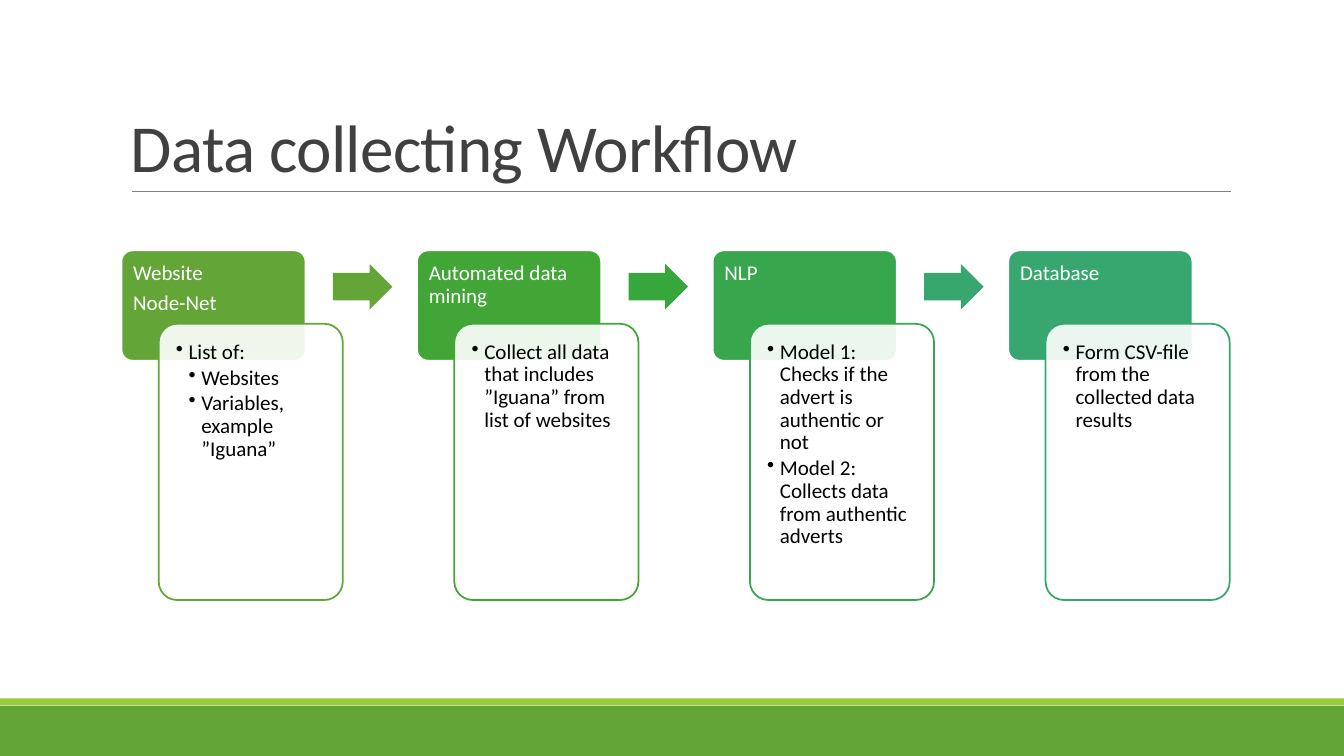
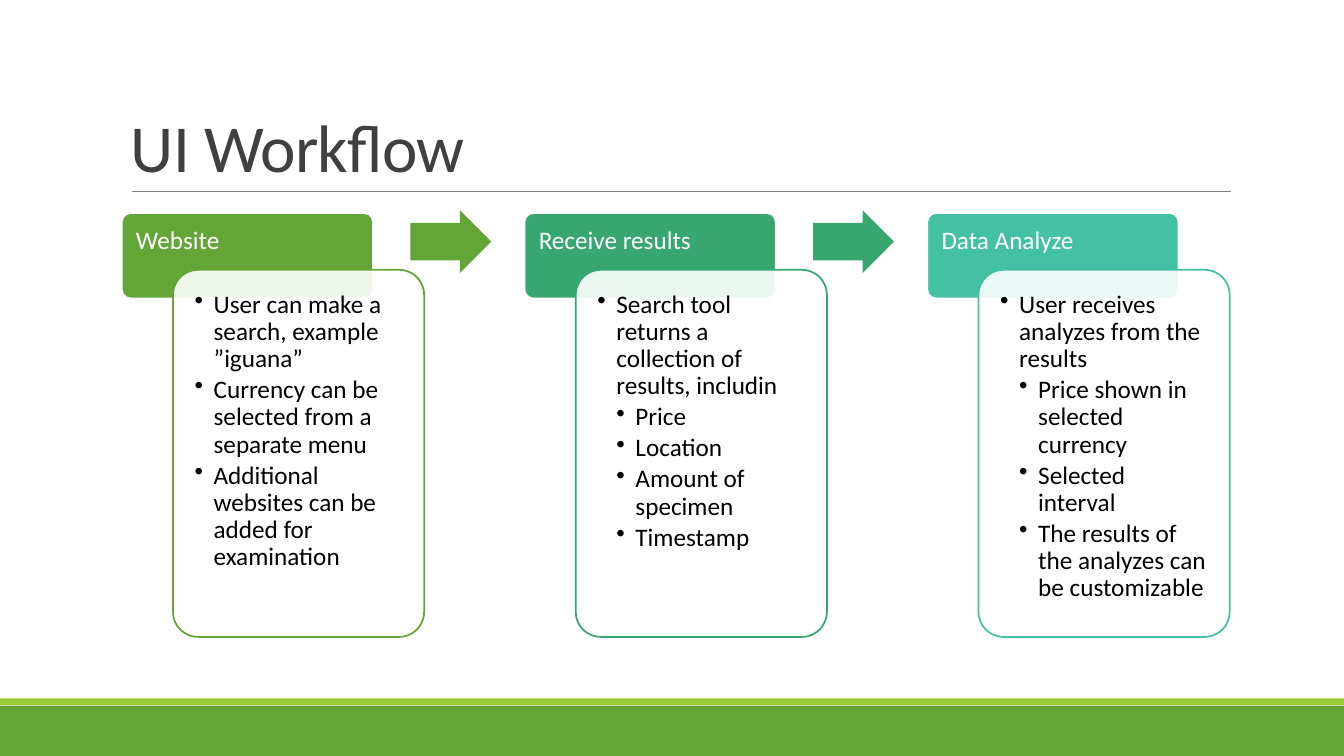
from pptx import Presentation
from pptx import util as u
from pptx.dml.color import RGBColor
from pptx.enum import shapes, text
from lxml import etree

COLORS = {
    "band": "63A537", "stripe": "99CB38", "rule": "808080", "title": "404040",
    "white": "FFFFFF", "black": "000000", "leaf": "63A537", "grass": "42A637",
    "green": "37A63D", "fern": "37A64D", "sea": "37A76F", "mint": "44C1A3",
}
FONT = "Calibri"
NAMESPACE = "http://schemas.openxmlformats.org/drawingml/2006/main"

WORKFLOWS = [
    {
        "title": "Data collecting Workflow",
        "size": 15, "inset": 0.3, "hanging": 0.32,
        "left": 3.06, "top": 6.31, "step": 7.45,
        "head": (4.64, 2.78), "card": (0.94, 1.85, 4.64, 6.96),
        "arrow": (5.33, 0.34, 1.5, 1.15), "arrows": ["leaf", "green", "sea"],
        "steps": [
            ("leaf", ["Website ", "Node-Net"],
             [(1, "List of:"), (2, "Websites"), (2, "Variables, example ”Iguana”")]),
            ("grass", ["Automated data mining"],
             [(1, "Collect all data that includes ”Iguana” from list of websites")]),
            ("fern", ["NLP"],
             [(1, "Model 1: Checks if the advert is authentic or not"),
              (1, "Model 2: Collects data from authentic adverts")]),
            ("sea", ["Database"],
             [(1, "Form CSV-file from the collected data results")]),
        ],
    },
    {
        "title": "UI Workflow",
        "size": 18, "inset": 0.36, "hanging": 0.48,
        "left": 3.07, "top": 5.37, "step": 10.15,
        "head": (6.33, 2.15), "card": (1.29, 1.43, 6.33, 9.25),
        "arrow": (7.27, -0.07, 2.04, 1.58), "arrows": ["leaf", "sea"],
        "steps": [
            ("leaf", ["Website"],
             [(1, "User can make a search, example ”iguana”"),
              (1, "Currency can be selected from a separate menu"),
              (1, "Additional websites can be added for examination")]),
            ("sea", ["Receive results"],
             [(1, "Search tool returns a collection of results, includin"),
              (2, "Price"), (2, "Location"), (2, "Amount of specimen"),
              (2, "Timestamp")]),
            ("mint", ["Data Analyze"],
             [(1, "User receives analyzes from the results"),
              (2, "Price shown in selected currency"), (2, "Selected interval"),
              (2, "The results of the analyzes can be customizable")]),
        ],
    },
]


def rgb(name):
    return RGBColor.from_string(COLORS[name])


def add_xml(parent, tag, **attributes):
    return etree.SubElement(parent, f"{{{NAMESPACE}}}{tag}", attributes)


def write(shape, lines, size, color, anchor, margins=None, spacing=0.9,
          after=0, hanging=0, tracking=None):
    frame = shape.text_frame
    frame.word_wrap = True
    frame.auto_size = text.MSO_AUTO_SIZE.NONE
    frame.vertical_anchor = anchor
    if margins:
        (frame.margin_left, frame.margin_top, frame.margin_right,
         frame.margin_bottom) = [u.Cm(margin) for margin in margins]
    for index, (level, words) in enumerate(lines):
        paragraph = frame.add_paragraph() if index else frame.paragraphs[0]
        paragraph.alignment = text.PP_ALIGN.LEFT
        paragraph.line_spacing = spacing
        paragraph.space_before = u.Pt(0)
        paragraph.space_after = u.Pt(after)
        if level:
            properties = paragraph._p.get_or_add_pPr()
            properties.set("marL", str(u.Cm(hanging * level)))
            properties.set("indent", str(-u.Cm(hanging)))
            add_xml(properties, "buChar", char="•")
        run = paragraph.add_run()
        run.text = words
        run.font.size = u.Pt(size)
        run.font.name = FONT
        run.font.color.rgb = rgb(color)
        if tracking is not None:
            run._r.get_or_add_rPr().set("spc", str(tracking))


def add_shape(slide, kind, box, fill, line=None, adjustments=(), opacity=None):
    shape = slide.shapes.add_shape(kind, *[u.Cm(length) for length in box])
    shape.shadow.inherit = False
    shape.fill.solid()
    shape.fill.fore_color.rgb = rgb(fill)
    if opacity:
        color = shape._element.spPr.find(f".//{{{NAMESPACE}}}srgbClr")
        add_xml(color, "alpha", val=str(opacity * 1000))
    if line:
        shape.line.color.rgb = rgb(line)
        shape.line.width = u.Pt(1.25)
    else:
        shape.line.fill.background()
    for index, value in enumerate(adjustments):
        shape.adjustments[index] = value
    return shape


def decorate_layout(layout, slide):
    rectangle = shapes.MSO_SHAPE.RECTANGLE
    band = add_shape(slide, rectangle, (0, 17.78, 33.87, 1.27), "band")
    stripe = add_shape(slide, rectangle, (0, 17.6, 33.87, 0.17), "stripe")
    rule = slide.shapes.add_connector(
        shapes.MSO_CONNECTOR.STRAIGHT, u.Cm(3.33), u.Cm(4.82), u.Cm(31.01), u.Cm(4.82))
    rule.line.color.rgb = rgb("rule")
    rule.line.width = u.Pt(0.5)
    add_xml(rule._element.spPr, "effectLst")
    for part in (band, stripe, rule):
        layout.shapes._spTree.append(part._element)


def add_title(slide, words):
    title = slide.shapes.title
    title.left, title.top, title.width, title.height = [
        u.Cm(length) for length in (3.05, 0.79, 27.94, 4.04)]
    write(title, [(0, words)], 48, "title", text.MSO_ANCHOR.BOTTOM,
          margins=(0.25, 0.13, 0.25, 0.13), spacing=0.85, tracking=-50)


def add_workflow(slide, flow):
    rounded = shapes.MSO_SHAPE.ROUNDED_RECTANGLE
    size, inset, top = flow["size"], flow["inset"], flow["top"]
    head_width, head_height = flow["head"]
    card_x, card_y, card_width, card_height = flow["card"]
    arrow_x, arrow_y, arrow_width, arrow_height = flow["arrow"]
    head_inset = inset - 0.03 * head_height
    for index, (color, heading, points) in enumerate(flow["steps"]):
        left = flow["left"] + index * flow["step"]
        head = add_shape(slide, rounded, (left, top, head_width, head_height),
                         color, "white", [0.1])
        write(head, [(0, words) for words in heading], size, "white",
              text.MSO_ANCHOR.TOP, margins=(head_inset,) * 3 + (0,),
              after=0.35 * size)
        card = add_shape(slide, rounded,
                         (left + card_x, top + card_y, card_width, card_height),
                         "white", color, [0.1], opacity=90)
        write(card, points, size, "black", text.MSO_ANCHOR.TOP,
              margins=(inset,) * 4, after=0.15 * size, hanging=flow["hanging"])
        if index < len(flow["arrows"]):
            add_shape(slide, shapes.MSO_SHAPE.RIGHT_ARROW,
                      (left + arrow_x, top + arrow_y, arrow_width, arrow_height),
                      flow["arrows"][index], adjustments=[0.6, 0.5])


presentation = Presentation()
presentation.slide_width = u.Cm(33.87)
presentation.slide_height = u.Cm(19.05)
title_only = presentation.slide_layouts[5]
for number, workflow in enumerate(WORKFLOWS):
    slide = presentation.slides.add_slide(title_only)
    if number == 0:
        decorate_layout(title_only, slide)
    add_title(slide, workflow["title"])
    add_workflow(slide, workflow)
presentation.save("out.pptx")
